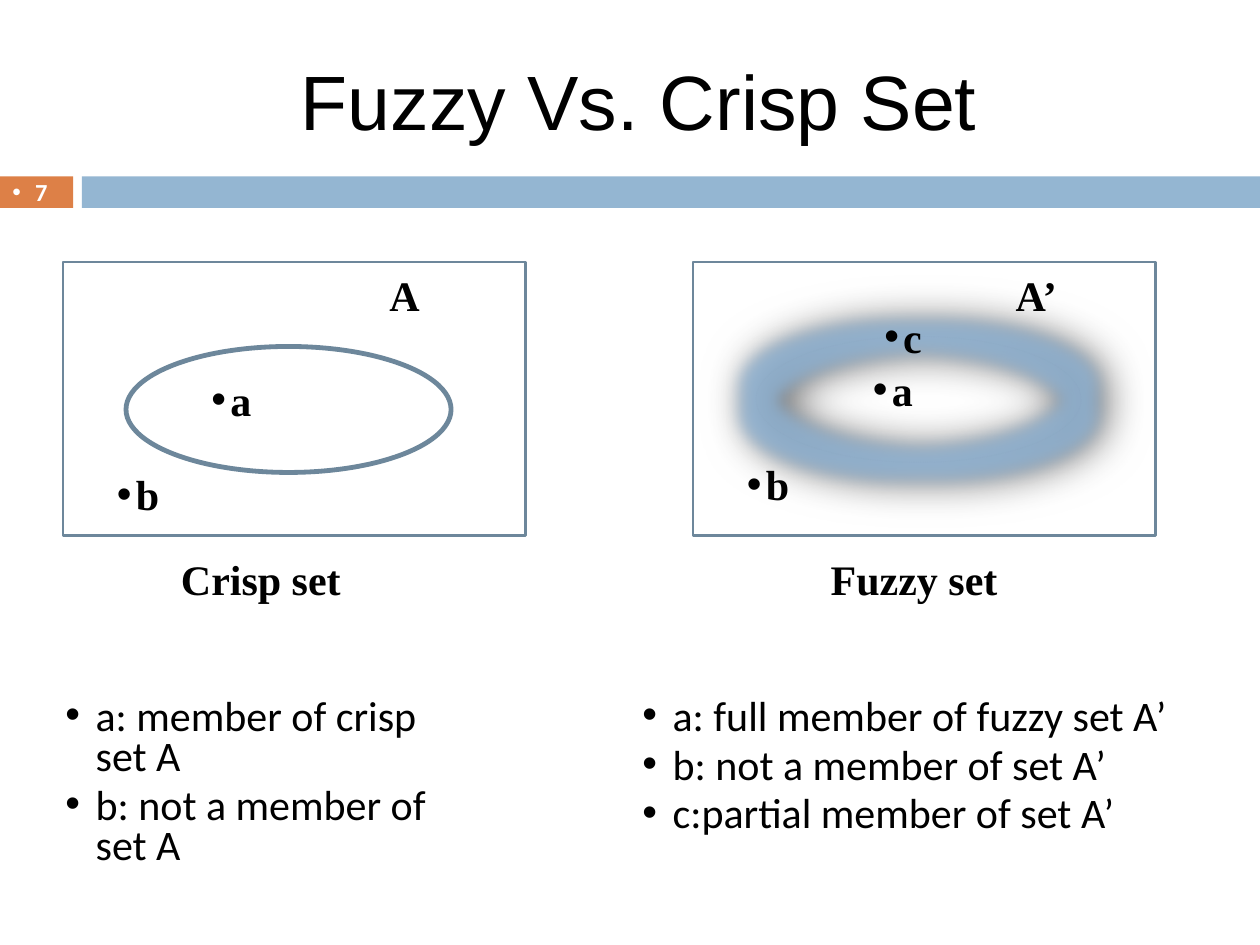
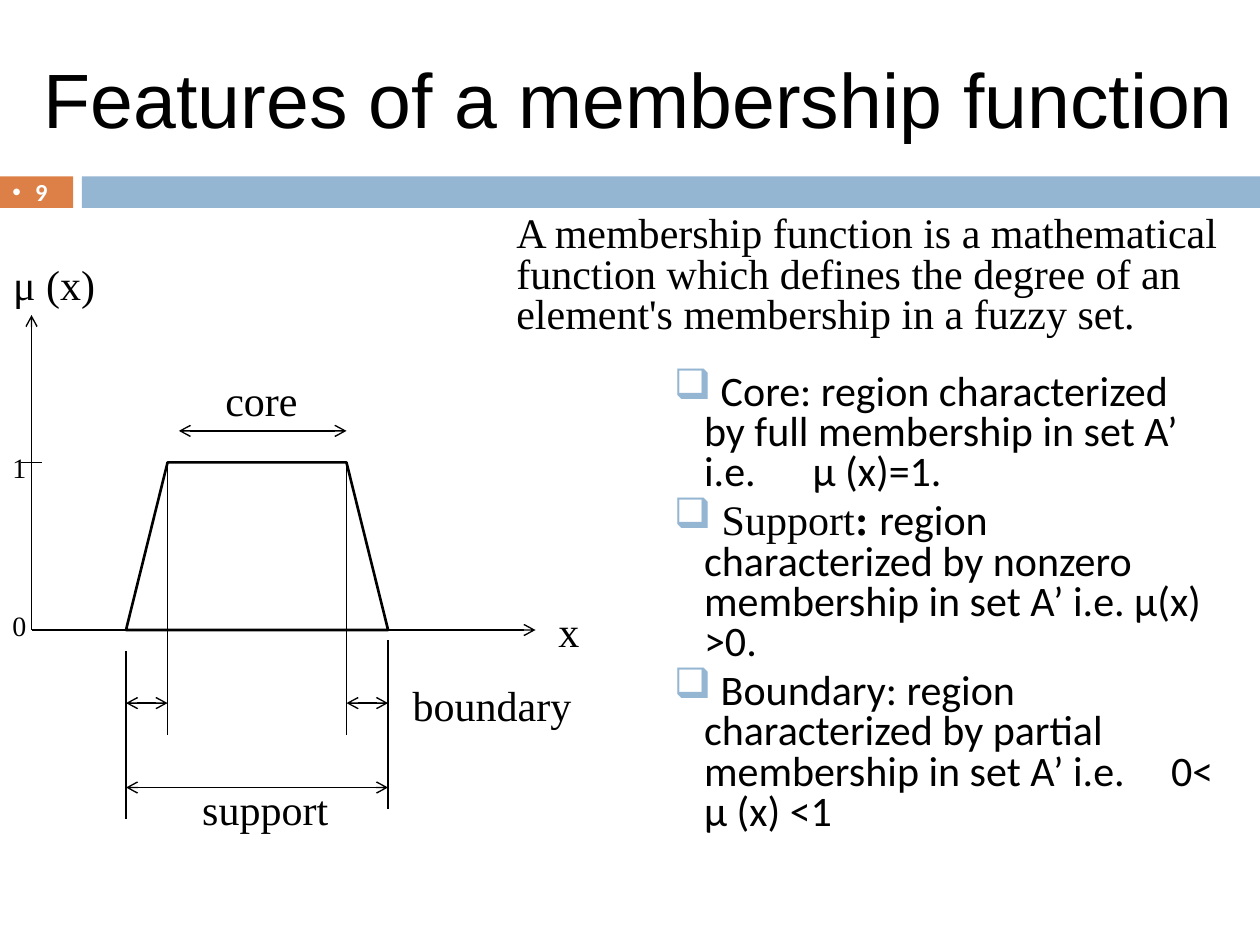
from dataclasses import dataclass

from lxml import etree
from pptx import Presentation
from pptx import util as u
from pptx.dml import color
from pptx.enum import dml, shapes, text
from pptx.oxml import ns, parse_xml


@dataclass(frozen=True)
class Theme:
    ink: str = "000000"
    paper: str = "FFFFFF"
    accent: str = "DD8047"
    band: str = "94B6D2"
    outline: str = "6D879B"
    glow: str = "8FB4D6"
    head: str = "Arial"
    body: str = "Calibri"
    serif: str = "Times New Roman"
    title_size: int = 44
    body_size: int = 24
    number_size: int = 14
    tick_size: int = 16
    thin: float = 0.79
    medium: float = 1.5
    thick: float = 2.75
    tight: float = 0.8


T = Theme()
SHAPE = shapes.MSO_SHAPE
LEFT, CENTER = text.PP_ALIGN.LEFT, text.PP_ALIGN.CENTER
TOP, MIDDLE = text.MSO_ANCHOR.TOP, text.MSO_ANCHOR.MIDDLE


def rgb(value):
    return color.RGBColor.from_string(value)


def inches(*values):
    return [u.Inches(round(v, 2)) for v in values]


# Shared drawing helpers
def add_figure(slide, kind, box, fill=None, line=None, width=T.medium):
    figure = slide.shapes.add_shape(kind, *inches(*box))
    figure.shadow.inherit = False
    if fill:
        figure.fill.solid()
        figure.fill.fore_color.rgb = rgb(fill)
    else:
        figure.fill.background()
    if line:
        figure.line.color.rgb = rgb(line)
        figure.line.width = u.Pt(width)
    else:
        figure.line.fill.background()
    return figure


def add_line(slide, start, end, arrows=()):
    line = slide.shapes.add_connector(
        shapes.MSO_CONNECTOR.STRAIGHT, *inches(*start, *end))
    line.line.color.rgb = rgb(T.ink)
    line.line.width = u.Pt(T.thin)
    for arrow in arrows:
        etree.SubElement(line.line._get_or_add_ln(), ns.qn(f"a:{arrow}"), type="arrow")
    etree.SubElement(line._element.spPr, ns.qn("a:effectLst"))


def set_bullet(paragraph, mark, hang, tint):
    props = paragraph._p.get_or_add_pPr()
    props.set("marL", str(u.Inches(hang)))
    props.set("indent", str(-u.Inches(hang)))
    if tint:
        holder = etree.SubElement(props, ns.qn("a:buClr"))
        etree.SubElement(holder, ns.qn("a:srgbClr"), val=tint)
    else:
        etree.SubElement(props, ns.qn("a:buFont"), typeface=T.head)
    etree.SubElement(props, ns.qn("a:buChar"), char=mark)


def add_text(slide, box, paragraphs, font=T.body, size=T.body_size, ink=T.ink,
             bold=False, align=LEFT, anchor=TOP, wrap=True, spacing=T.tight,
             bullet=None, hang=0.24, bullet_tint=None, indent=0):
    """Each paragraph is a string or a list of (text, run changes)."""
    frame = slide.shapes.add_textbox(*inches(*box)).text_frame
    frame.word_wrap = wrap
    frame.vertical_anchor = anchor
    for index, content in enumerate(paragraphs):
        paragraph = frame.paragraphs[0] if index == 0 else frame.add_paragraph()
        paragraph.alignment = align
        paragraph.line_spacing = spacing
        if spacing < 1:
            paragraph.space_before = u.Pt(size * 0.2)
        if bullet:
            set_bullet(paragraph, bullet, hang, bullet_tint)
        elif indent:
            paragraph._p.get_or_add_pPr().set("marL", str(u.Inches(indent)))
        runs = [(content, {})] if isinstance(content, str) else content
        for words, changes in runs:
            run = paragraph.add_run()
            run.text = words
            run.font.name = changes.get("font", font)
            run.font.size = u.Pt(size)
            run.font.bold = changes.get("bold", bold)
            run.font.color.rgb = rgb(ink)
            if "gap" in changes:
                run._r.get_or_add_rPr().set("spc", str(changes["gap"] * 100))
    return frame


def add_label(slide, box, words, size=T.body_size, bold=False):
    add_text(slide, box, [words], T.serif, size, bold=bold, align=CENTER, wrap=False)


# Regions shared by both slides
def add_band(slide, number, left=0, top=1.4, width=10, height=0.25):
    tab, gap = 0.58, 0.07
    add_figure(slide, SHAPE.RECTANGLE, (left, top, tab, height), T.accent)
    add_figure(slide, SHAPE.RECTANGLE,
               (left + tab + gap, top, width - tab - gap, height), T.band)
    frame = add_text(slide, (left, top - 0.01, tab, 0.27), [number],
                     size=T.number_size, ink=T.paper, bold=True, anchor=MIDDLE,
                     spacing=1, bullet="•", hang=0.18)
    frame.margin_top = frame.margin_bottom = frame.margin_right = 0


def add_title(slide, box, words, **layout):
    add_text(slide, box, [words], T.head, T.title_size, **layout)


# Set diagrams
def soften(ellipse):
    ellipse.line.dash_style = dml.MSO_LINE.ROUND_DOT
    tint = ellipse.line._get_or_add_ln().find(f".//{ns.qn('a:srgbClr')}")
    etree.SubElement(tint, ns.qn("a:alpha"), val="4000")
    props = ellipse._element.spPr
    props.remove(props.find(ns.qn("a:effectLst")))
    props.append(parse_xml(
        f'<a:effectLst {ns.nsdecls("a")}>'
        f'<a:glow rad="{u.Pt(18)}"><a:srgbClr val="{T.glow}">'
        '<a:alpha val="80000"/></a:srgbClr></a:glow>'
        f'<a:outerShdw blurRad="{u.Pt(23)}" dist="{u.Pt(4)}" dir="540000">'
        f'<a:srgbClr val="{T.ink}"><a:alpha val="72000"/></a:srgbClr>'
        '</a:outerShdw></a:effectLst>'))


def add_set_panel(slide, left, top, ellipse_top, fuzzy, name, caption, points, notes):
    def at(x, y, width, height=0.42):
        return left + x, top + y, width, height

    add_figure(slide, SHAPE.RECTANGLE, at(0, 0, 3.67, 2.17), line=T.outline)
    ellipse = add_figure(slide, SHAPE.OVAL, at(0.5, ellipse_top, 2.58, 1),
                         line=T.outline, width=0.5 if fuzzy else T.thick)
    if fuzzy:
        soften(ellipse)
    # Set name, caption and members
    name_words, name_x, name_width = name
    add_label(slide, at(name_x, 0.09, name_width), name_words, bold=True)
    caption_words, caption_x, caption_width = caption
    add_label(slide, at(caption_x, 2.34, caption_width), caption_words, bold=True)
    for member, x, y in points:
        frame = add_text(slide, at(x, y, 0.5), [member], T.serif, bold=True,
                         bullet="•", hang=0.15)
        frame.margin_right = 0
    # Explanation below
    note_words, note_x, note_width = notes
    add_text(slide, at(note_x, 3.42, note_width, 1.23), note_words, bullet="•")


def build_sets_slide(slide):
    add_band(slide, "7")
    add_title(slide, (0.67, 0.25, 8.92, 1.08), "Fuzzy Vs. Crisp Set",
              anchor=MIDDLE, spacing=1, indent=1.62)
    add_set_panel(
        slide, 0.5, 2.08, 0.67, False, ("A", 2, 1.42), ("Crisp set", 0.83, 1.48),
        [("a", 1.08, 0.92), ("b", 0.33, 1.67)],
        (["a: member of crisp set A", "b: not a member of set A"], -0.08, 3.25))
    add_set_panel(
        slide, 5.5, 2.08, 0.59, True, ("A’", 2.17, 1.11), ("Fuzzy set", 0.17, 3.17),
        [("a", 1.33, 0.84), ("b", 0.33, 1.59), ("c", 1.42, 0.42)],
        (["a: full member of fuzzy set A’", "b: not a member of set A’",
          "c:partial member of set A’"], -0.5, 5))


# Membership function
def add_membership_plot(slide, left, top):
    def at(x, y):
        return left + x, top + y

    axis, base, crest = 0.25, 2.92, 1.59
    foot_left, foot_right, slope = 1, 3.08, 0.33
    core_left, core_right = foot_left + slope, foot_right - slope
    both = ("headEnd", "tailEnd")

    # Axes and the tick at 1
    add_line(slide, at(axis, base), at(4.25, base), ["tailEnd"])
    add_line(slide, at(axis, base), at(axis, 0.42), ["tailEnd"])
    add_line(slide, at(axis - 0.08, crest), at(axis + 0.08, crest))

    # Membership curve
    curve = add_figure(
        slide, SHAPE.TRAPEZOID,
        (*at(foot_left, crest), foot_right - foot_left, base - crest), line=T.ink)
    curve.adjustments[0] = slope / (base - crest)

    # Guides down from the core and from the feet
    for x, start, end in ((core_left, crest, 3.75), (core_right, crest, 3.75),
                          (foot_left, 3.09, 4.42), (foot_right, 3, 4.34)):
        add_line(slide, at(x, start), at(x, end))

    # Extents of core, boundaries and support
    for start, end, y in ((core_left + 0.09, core_right, 1.34),
                          (foot_left, core_left, 3.5),
                          (core_right, foot_right, 3.5),
                          (foot_left, foot_right, 4.17)):
        add_line(slide, at(start, y), at(end, y), both)

    # Labels
    for words, x, y, width in (("μ (x)", 0, 0, 0.86), ("x", 4.33, 2.75, 0.37),
                               ("core", 1.67, 0.92, 0.81),
                               ("boundary", 3.17, 3.34, 1.47),
                               ("support", 1.5, 4.17, 1.21)):
        add_label(slide, (*at(x, y), width, 0.42), words)
    for words, y in (("1", 1.5), ("0", 2.75)):
        add_label(slide, (*at(0, y), 0.3, 0.32), words, T.tick_size)


def add_definitions(slide, left, top, width):
    add_text(slide, (left, top, width, 4.14), [
        [(" Core: region characterized by full membership in set A’ i.e.", {}),
         (" ", {"gap": 27}), ("μ (x)=1.", {})],
        [(" Support", {"font": T.serif}), (": ", {"font": T.serif, "bold": True}),
         ("region characterized by nonzero membership in set A’ i.e. μ(x) >0.", {})],
        [(" Boundary: region characterized by partial membership in set A’ i.e.", {}),
         (" ", {"gap": 21}), ("0< μ (x) <1", {})],
    ], bullet="❑", bullet_tint=T.band)


def build_membership_slide(slide):
    add_band(slide, "9")
    add_title(slide, (0.25, 0.5, 9.75, 0.69), "Features of a membership function")
    add_membership_plot(slide, 0, 2.08)
    add_definitions(slide, 5.25, 2.92, 4.5)
    add_text(slide, (4, 1.67, 6, 1.07), [
        "A membership function is a mathematical function which defines "
        "the degree of an element's membership in a fuzzy set."], T.serif)


def main():
    deck = Presentation()
    deck.slide_width, deck.slide_height = inches(10, 7.5)
    blank = deck.slide_layouts[6]
    for build in (build_sets_slide, build_membership_slide):
        build(deck.slides.add_slide(blank))
    deck.save("out.pptx")


if __name__ == "__main__":
    main()
